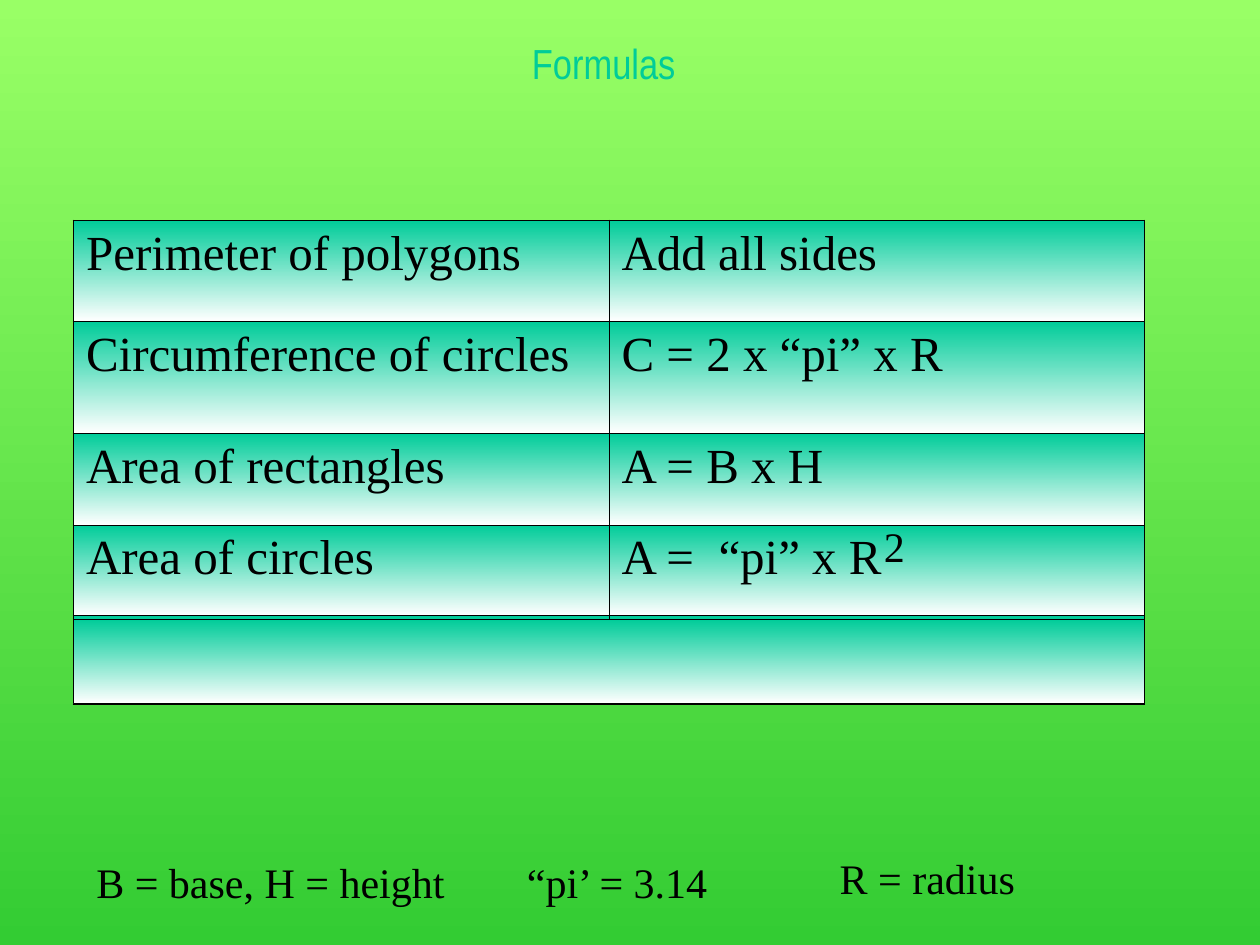
import pptx
import pptx.dml.color
import pptx.enum.shapes
import pptx.enum.text
import pptx.oxml
import pptx.oxml.ns
import pptx.util

COLORS = {
    "lime": "99FF66",
    "green": "33CC33",
    "teal": "00CC99",
    "white": "FFFFFF",
    "black": "000000",
}
FORMULAS = [
    ("Perimeter of polygons", "Add all sides"),
    ("Circumference of circles", "C = 2 x “pi” x R"),
    ("Area of rectangles", "A = B x H"),
    ("Area of circles", "A =  “pi” x R"),
    ("", ""),
]
GRID_COLUMNS, GRID_ROWS = 120, 90
TABLE_AREA = (7, 21, 102, 46.1)
ROW_HEIGHTS = [9.6, 10.65, 8.75, 8.6, 8.5]
COVER_AREA = (7, 59, 102, 8)
THIN, THICK = 0.45, 1.08

SERIF = {"name": "Times New Roman", "size": pptx.util.Pt(24)}
CELL_FONT = {**SERIF, "size": pptx.util.Pt(28)}
TITLE_FONT = {**SERIF, "name": "Arial Narrow"}
LEFT = pptx.enum.text.PP_ALIGN.LEFT
CENTER = pptx.enum.text.PP_ALIGN.CENTER
GROW = pptx.enum.text.MSO_AUTO_SIZE.SHAPE_TO_FIT_TEXT
FIXED = pptx.enum.text.MSO_AUTO_SIZE.NONE
EXPONENT = ("2", (83, 49, 4, 6), SERIF, "black", LEFT, {"word_wrap": True, "auto_size": GROW})
LABEL_FRAME = {"word_wrap": False, "auto_size": GROW}
LABELS = [
    ("“pi’ = 3.14", (49, 81, 20, 6), SERIF, "black", LEFT, LABEL_FRAME),
    ("R = radius", (78.8, 80.6, 19.4, 6), SERIF, "black", LEFT, LABEL_FRAME),
    ("B = base, H = height", (8, 81, 36, 6), SERIF, "black", LEFT, LABEL_FRAME),
    ("Formulas", (38, 3, 39, 14), TITLE_FONT, "teal", CENTER,
     {"word_wrap": False, "auto_size": FIXED}),
]

deck = pptx.Presentation()
deck.slide_width = pptx.util.Inches(10)
deck.slide_height = pptx.util.Inches(7.5)
page = deck.slides.add_slide(deck.slide_layouts[6])


def color(name):
    return pptx.dml.color.RGBColor.from_string(COLORS[name])


def place(area):
    units = (deck.slide_width / GRID_COLUMNS, deck.slide_height / GRID_ROWS) * 2
    return [round(length * unit) for length, unit in zip(area, units)]


def set_all(target, values):
    for key, value in values.items():
        setattr(target, key, value)


def fade(fill, top, bottom):
    fill.gradient()
    fill.gradient_angle = 270
    for stop, name in zip(fill.gradient_stops, (top, bottom)):
        stop.color.rgb = color(name)


def write(frame, text, font, color_name, alignment=LEFT):
    para = frame.paragraphs[0]
    para.alignment = alignment
    span = para.add_run()
    span.text = text
    set_all(span.font, font)
    span.font.color.rgb = color(color_name)


def add_label(text, area, font, color_name, alignment, frame_format):
    box = page.shapes.add_textbox(*place(area))
    set_all(box.text_frame, frame_format)
    write(box.text_frame, text, font, color_name, alignment)


def add_borders(cell, widths):
    properties = cell._tc.get_or_add_tcPr()
    for side, width in widths.items():
        properties.append(pptx.oxml.parse_xml(
            f'<a:ln{side} {pptx.oxml.ns.nsdecls("a")} w="{pptx.util.Pt(width)}">'
            f'<a:solidFill><a:srgbClr val="{COLORS["black"]}"/></a:solidFill></a:ln{side}>'
        ))


def add_formula_table():
    last_row, last_column = len(FORMULAS) - 1, len(FORMULAS[0]) - 1
    table = page.shapes.add_table(last_row + 1, last_column + 1, *place(TABLE_AREA)).table
    set_all(table, {"first_row": False, "horz_banding": False})
    for row, height in zip(table.rows, ROW_HEIGHTS):
        row.height = round(height * deck.slide_height / GRID_ROWS)
    for r, texts in enumerate(FORMULAS):
        for c, text in enumerate(texts):
            cell = table.cell(r, c)
            outer = {"L": c == 0, "R": c == last_column, "T": r == 0, "B": r == last_row}
            add_borders(cell, {side: THICK if edge else THIN for side, edge in outer.items()})
            fade(cell.fill, "teal", "white")
            if text:
                write(cell.text_frame, text, CELL_FONT, "black")


def add_cover():
    cover = page.shapes.add_shape(
        pptx.enum.shapes.MSO_SHAPE.RECTANGLE, *place(COVER_AREA))
    cover.shadow.inherit = False
    fade(cover.fill, "teal", "white")
    cover.line.color.rgb = color("black")
    cover.line.width = pptx.util.Pt(0.75)


fade(page.background.fill, "lime", "green")
add_formula_table()
add_label(*EXPONENT)
add_cover()
for label in LABELS:
    add_label(*label)
deck.save("out.pptx")
